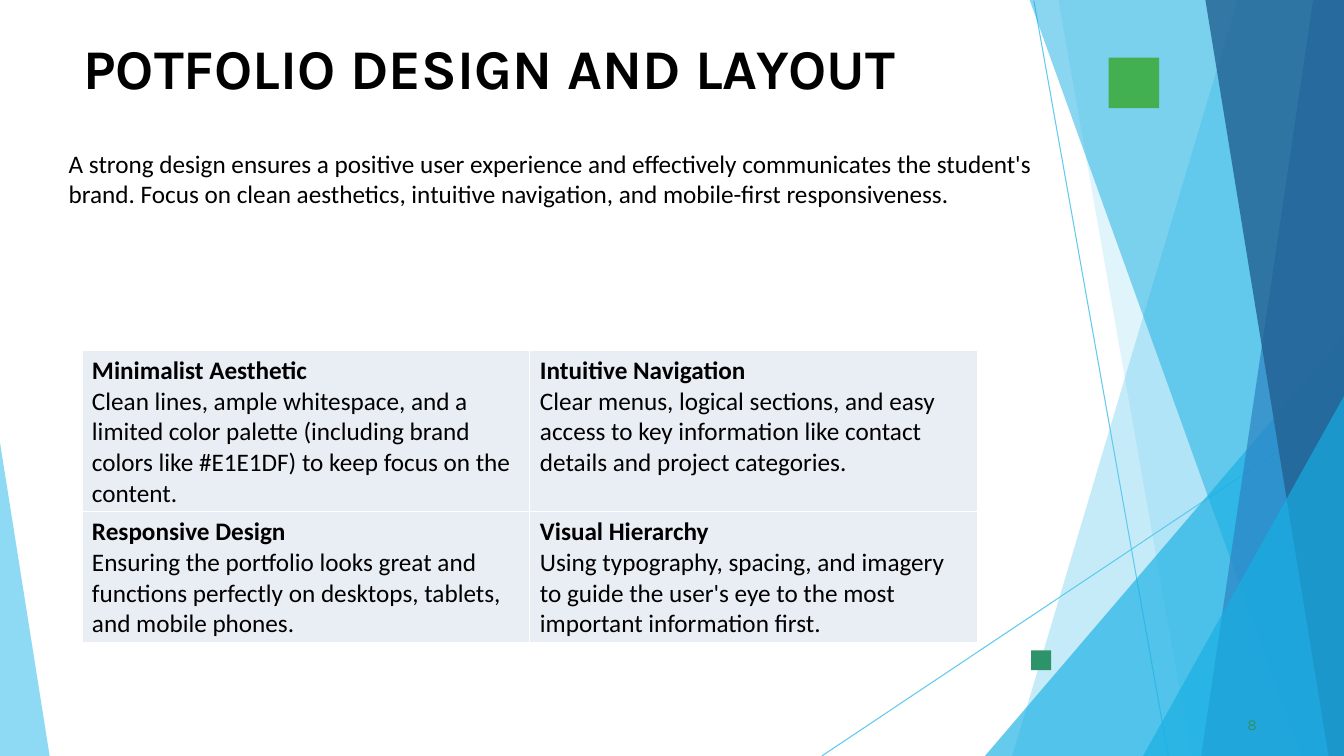
from lxml.etree import SubElement
from pptx import Presentation
from pptx.dml.color import RGBColor
from pptx.enum.shapes import MSO_CONNECTOR as Connector, MSO_SHAPE as Preset
from pptx.enum.text import MSO_ANCHOR as Anchor, MSO_AUTO_SIZE as AutoSize, PP_ALIGN as Align
from pptx.oxml.ns import qn
from pptx.util import Pt

WIDTH, HEIGHT = 960, 540
SKY, CYAN, BLUE, NAVY = "5FCAEE", "17AFE3", "2D83C3", "226192"
GREEN, TEAL = "42AF51", "2D936B"
BLACK, WHITE, CELL = "000000", "FFFFFF", "E9EDF4"


def color(value):
    return RGBColor.from_string(value)


class Deck:
    body_font = "Calibri"
    display_font = "Karla"
    body_size = 18

    def __init__(self):
        self.show = Presentation()
        self.show.slide_width, self.show.slide_height = Pt(WIDTH), Pt(HEIGHT)
        self.slide = self.show.slides.add_slide(self.show.slide_layouts[5])
        self.shapes = self.slide.shapes

    def style(self, paragraph, font, size, ink, bold=False, spacing=None):
        paragraph.alignment = Align.LEFT
        for run in paragraph.runs:
            run.font.name, run.font.size, run.font.bold = font, Pt(size), bold
            run.font.color.rgb = color(ink)
            if spacing:
                run.font._element.set("spc", str(spacing))

    def place(self, shape, left, top, width, height):
        shape.left, shape.top = Pt(left), Pt(top)
        shape.width, shape.height = Pt(width), Pt(height)

    def display(self, shape, text, size, ink, indent, before, bold=False):
        frame = shape.text_frame
        frame.text = text
        frame.word_wrap = True
        frame.auto_size = AutoSize.SHAPE_TO_FIT_TEXT
        frame.vertical_anchor = Anchor.TOP
        frame.margin_left, frame.margin_top = Pt(indent), Pt(0.9)
        frame.margin_right = frame.margin_bottom = 0
        frame.paragraphs[0].space_before = Pt(before)
        self.style(frame.paragraphs[0], self.display_font, size, ink, bold, 10)

    def title(self, text, *box):
        self.place(self.shapes.title, *box)
        self.display(self.shapes.title, text, 40, BLACK, 0.9, 1.1, True)

    def page_number(self, text, *box):
        number = self.shapes.add_textbox(*map(Pt, box))
        self.display(number, text, 11, TEAL, 3, 0.6)

    def text(self, text, *box):
        frame = self.shapes.add_textbox(*map(Pt, box)).text_frame
        frame.text = text
        frame.word_wrap = True
        frame.auto_size = AutoSize.SHAPE_TO_FIT_TEXT
        self.style(frame.paragraphs[0], self.body_font, self.body_size, BLACK)

    def paint(self, shape, fill, opacity=100):
        shape.shadow.inherit = False
        shape.line.fill.background()
        shape.fill.solid()
        shape.fill.fore_color.rgb = color(fill)
        if opacity < 100:
            tint = shape.element.spPr.find(qn("a:solidFill"))[0]
            SubElement(tint, qn("a:alpha")).set("val", str(opacity * 1000))

    def polygon(self, points, fill, opacity):
        corners = [(Pt(x), Pt(y)) for x, y in points]
        outline = self.shapes.build_freeform(*corners[0])
        outline.add_line_segments(corners[1:], close=True)
        self.paint(outline.convert_to_shape(), fill, opacity)

    def square(self, left, top, side, fill):
        box = map(Pt, (left, top, side, side))
        self.paint(self.shapes.add_shape(Preset.RECTANGLE, *box), fill)

    def line(self, *ends):
        rule = self.shapes.add_connector(Connector.STRAIGHT, *map(Pt, ends))
        rule.line.color.rgb = color(SKY)
        rule.line.width = Pt(0.75)
        SubElement(rule.element.spPr, qn("a:effectLst"))

    def border(self, cell):
        properties = cell._tc.get_or_add_tcPr()
        for side in ("lnL", "lnR", "lnT", "lnB"):
            edge = SubElement(properties, qn(f"a:{side}"), w=str(Pt(1)))
            ink = SubElement(edge, qn("a:solidFill"))
            SubElement(ink, qn("a:srgbClr"), val=WHITE)

    def table(self, rows, heights, left, top, width):
        columns = len(rows[0])
        box = map(Pt, (left, top, width, sum(heights)))
        grid = self.shapes.add_table(len(rows), columns, *box).table
        grid.first_row = grid.horz_banding = False
        for column in grid.columns:
            column.width = Pt(width / columns)
        for r, row in enumerate(rows):
            grid.rows[r].height = Pt(heights[r])
            for c, (heading, detail) in enumerate(row):
                cell = grid.cell(r, c)
                cell.text_frame.text = f"{heading}\n{detail}"
                for paragraph, bold in zip(cell.text_frame.paragraphs, (True, False)):
                    self.style(paragraph, self.body_font, self.body_size, BLACK, bold)
                self.border(cell)
                cell.fill.solid()
                cell.fill.fore_color.rgb = color(CELL)


BANDS = [
    (884, 0, 723, SKY, 36),
    (756, 0, 851, SKY, 20),
    (WIDTH, 240, 703.5, CYAN, 66),
    (735.5, 0, 929.5, CYAN, 50),
    (938, 0, 858, BLUE, 70),
    (861, 0, 949, NAVY, 80),
    (WIDTH, 283, 816.5, CYAN, 66),
]

PRINCIPLES = [
    [
        ("Minimalist Aesthetic",
         "Clean lines, ample whitespace, and a limited color palette (including brand "
         "colors like #E1E1DF) to keep focus on the content."),
        ("Intuitive Navigation",
         "Clear menus, logical sections, and easy access to key information like contact "
         "details and project categories."),
    ],
    [
        ("Responsive Design",
         "Ensuring the portfolio looks great and functions perfectly on desktops, tablets, "
         "and mobile phones."),
        ("Visual Hierarchy",
         "Using typography, spacing, and imagery to guide the user's eye to the most "
         "important information first."),
    ],
]


def main():
    deck = Deck()
    deck.line(738.5, 0.5, 834.5, HEIGHT)
    deck.line(WIDTH, 291, 587, HEIGHT)
    for top_x, top_y, bottom_x, fill, opacity in BANDS:
        corners = [(WIDTH, top_y), (top_x, top_y), (bottom_x, HEIGHT), (WIDTH, HEIGHT)]
        deck.polygon(corners, fill, opacity)
    deck.polygon([(0, 316), (0, HEIGHT), (35.5, HEIGHT)], SKY, 70)
    deck.square(736.5, 464.5, 14.25, TEAL)
    deck.page_number("8", 888, 510, 18, 15)
    deck.title("POTFOLIO DESIGN AND LAYOUT", 58.5, 23, 692.5, 50)
    deck.square(792, 41.25, 36, GREEN)
    deck.text(
        "A strong design ensures a positive user experience and effectively communicates "
        "the student's brand. Focus on clean aesthetics, intuitive navigation, and "
        "mobile-first responsiveness.", 42, 102.5, 720, 51)
    deck.table(PRINCIPLES, (115, 93), 58.5, 250.25, 640)
    deck.show.save("out.pptx")


if __name__ == "__main__":
    main()
